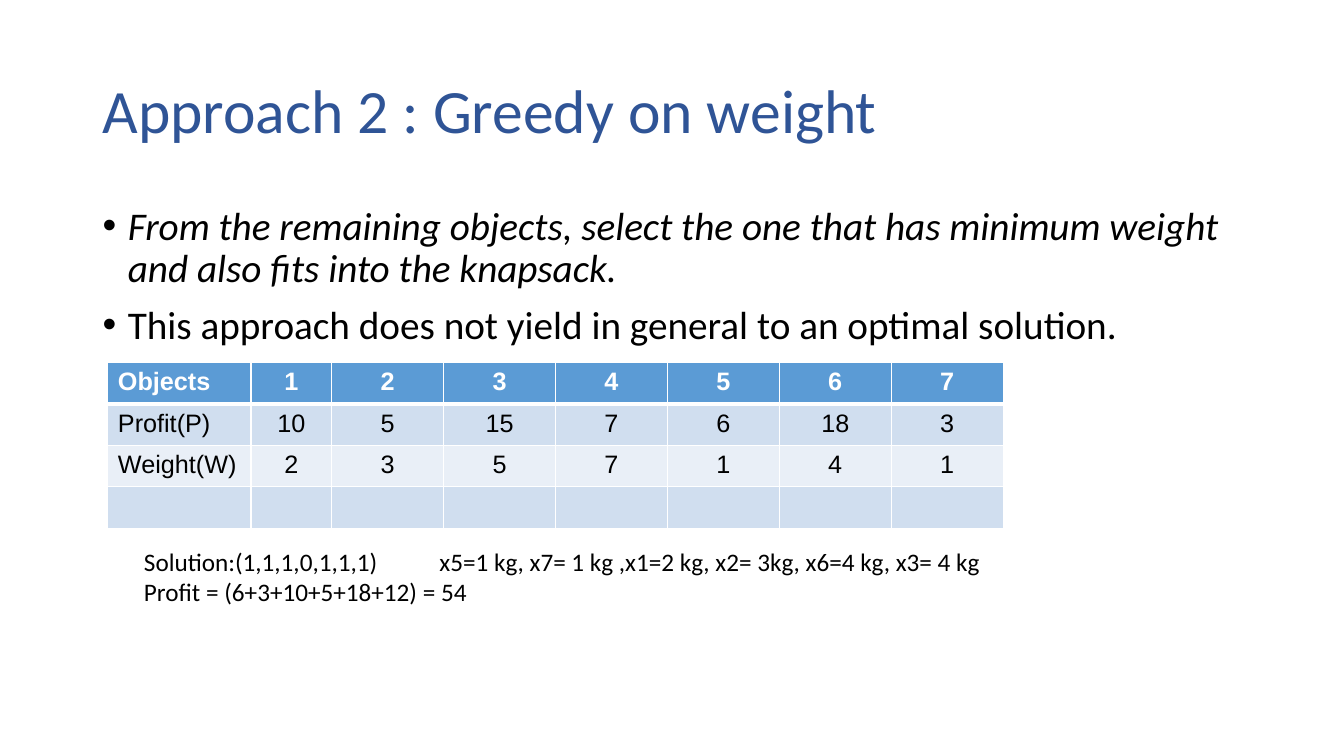
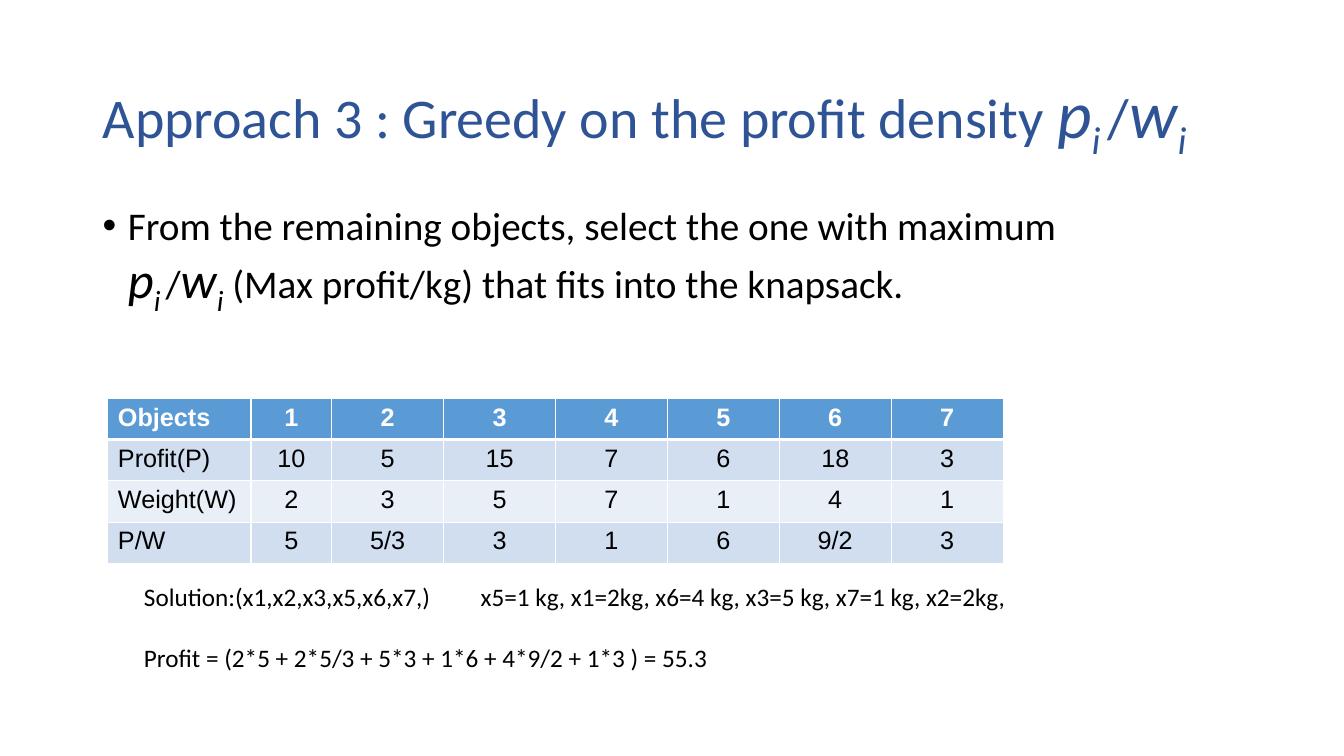
import lxml.etree
import pptx
import pptx.dml.color
import pptx.enum.text
import pptx.oxml.ns
import pptx.util

Inches = pptx.util.Inches
Pt = pptx.util.Pt
qn = pptx.oxml.ns.qn
RGBColor = pptx.dml.color.RGBColor

BLACK = RGBColor(0x00, 0x00, 0x00)
WHITE = RGBColor(0xFF, 0xFF, 0xFF)
TITLE_BLUE = RGBColor(0x2F, 0x54, 0x96)
HEADER_BLUE = RGBColor(0x5B, 0x9B, 0xD5)
BANDS = (RGBColor(0xD0, 0xDE, 0xEF), RGBColor(0xE9, 0xEF, 0xF7))

COLUMN_WIDTHS = [1.42, 0.8] + [1.11] * 6
ROW_HEIGHT = 0.41
ITEMS = [
    ["Objects", "1", "2", "3", "4", "5", "6", "7"],
    ["Profit(P)", "10", "5", "15", "7", "6", "18", "3"],
    ["Weight(W)", "2", "3", "5", "7", "1", "4", "1"],
]


def add_xml(parent, tag, **attributes):
    return lxml.etree.SubElement(parent, qn(tag), attributes)


def density(size, symbol_size):
    return [
        ("p", symbol_size, True, False),
        ("i", symbol_size, True, True),
        (" ", size, True, True),
        ("/", size, False, False),
        ("w", symbol_size, True, False),
        ("i", symbol_size, True, True),
    ]


class Deck:
    body_font = "Calibri"
    table_font = "Arial"

    def __init__(self):
        self.prs = pptx.Presentation()
        self.prs.slide_width = Inches(13.33)
        self.prs.slide_height = Inches(7.5)
        self.s = None

    def add_slide(self):
        self.s = self.prs.slides.add_slide(self.prs.slide_layouts[6])

    def add_box(self, left, top, width, height):
        sp = self.s.shapes.add_textbox(
            Inches(left), Inches(top), Inches(width), Inches(height))
        tf = sp.text_frame
        tf.word_wrap = True
        return tf

    def add_run(self, p, text, size, color, font=body_font,
                italic=False, bold=False, subscript=False):
        r = p.add_run()
        r.text = text
        r.font.size = Pt(size)
        r.font.name = font
        r.font.color.rgb = color
        r.font.italic = italic
        r.font.bold = bold
        if subscript:
            r._r.get_or_add_rPr().set("baseline", "-25000")

    def add_runs(self, p, runs, color):
        for text, size, italic, subscript in runs:
            if text == "\n":
                p.add_line_break()
            else:
                self.add_run(p, text, size, color,
                             italic=italic, subscript=subscript)

    def add_title(self, runs):
        tf = self.add_box(0.92, 0.4, 11.5, 1.45)
        tf.vertical_anchor = pptx.enum.text.MSO_ANCHOR.MIDDLE
        p = tf.paragraphs[0]
        p.line_spacing = 0.9
        self.add_runs(p, runs, TITLE_BLUE)

    def add_bullets(self, bullets):
        tf = self.add_box(0.92, 2, 11.5, 4.76)
        for index, runs in enumerate(bullets):
            p = tf.add_paragraph() if index else tf.paragraphs[0]
            pPr = p._p.get_or_add_pPr()
            pPr.set("marL", str(Inches(0.25)))
            pPr.set("indent", str(-Inches(0.25)))
            color = add_xml(pPr, "a:buClr")
            add_xml(color, "a:srgbClr", val=str(BLACK))
            add_xml(pPr, "a:buFont", typeface="Arial")
            add_xml(pPr, "a:buChar", char="•")
            p.line_spacing = 0.9
            if index:
                p.space_before = Pt(10)
            self.add_runs(p, runs, BLACK)

    def add_solution(self, top, height, choice, picks, tab, profit, gap=0):
        tf = self.add_box(1.33, top, 8.97, height)
        p = tf.paragraphs[0]
        tabs = add_xml(p._p.get_or_add_pPr(), "a:tabLst")
        add_xml(tabs, "a:tab", pos=str(Inches(tab)), algn="l")
        self.add_run(p, f"{choice}\t{picks}", 18, BLACK)
        p = tf.add_paragraph()
        p.space_before = Pt(gap)
        self.add_run(p, profit, 18, BLACK)

    def add_borders(self, cell, row):
        widths = {"a:lnL": 1, "a:lnR": 1, "a:lnT": 1, "a:lnB": 1}
        if row == 0:
            widths["a:lnB"] = 3
        elif row == 1:
            widths["a:lnT"] = 3
        tcPr = cell._tc.get_or_add_tcPr()
        for tag, width in widths.items():
            line = add_xml(tcPr, tag, w=str(Pt(width)))
            fill = add_xml(line, "a:solidFill")
            add_xml(fill, "a:srgbClr", val=str(WHITE))

    def add_table(self, top, rows):
        table = self.s.shapes.add_table(
            len(rows), len(COLUMN_WIDTHS), Inches(1.07), Inches(top),
            Inches(sum(COLUMN_WIDTHS)), Inches(ROW_HEIGHT * len(rows))).table
        table.first_row = False
        table.horz_banding = False
        for column, width in zip(table.columns, COLUMN_WIDTHS):
            column.width = Inches(width)
        for i, row in enumerate(rows):
            table.rows[i].height = Inches(ROW_HEIGHT)
            header = i == 0
            for j, text in enumerate(row):
                cell = table.cell(i, j)
                self.add_borders(cell, i)
                cell.fill.solid()
                cell.fill.fore_color.rgb = (
                    HEADER_BLUE if header else BANDS[(i - 1) % 2])
                p = cell.text_frame.paragraphs[0]
                if j:
                    p.alignment = pptx.enum.text.PP_ALIGN.CENTER
                if text:
                    self.add_run(p, text, 18, WHITE if header else BLACK,
                                 font=self.table_font, bold=header)


def main():
    deck = Deck()

    deck.add_slide()
    deck.add_title([("Approach 2 : Greedy on weight", 44, False, False)])
    deck.add_bullets([
        [("From the remaining objects, select the one that has minimum "
          "weight and also fits into the knapsack.", 28, True, False)],
        [("This approach does not yield in general to an optimal solution.",
          28, False, False)],
    ])
    deck.add_solution(
        5.37, 0.71, "Solution:(1,1,1,0,1,1,1)",
        "x5=1 kg, x7= 1 kg ,x1=2 kg, x2= 3kg, x6=4 kg, x3= 4 kg", 2.93,
        "Profit = (6+3+10+5+18+12) = 54")
    deck.add_table(3.6, ITEMS + [[""] * len(COLUMN_WIDTHS)])

    deck.add_slide()
    deck.add_title([
        ("Approach 3 : Greedy on the profit density ", 40, False, False),
        *density(40, 48),
    ])
    deck.add_bullets([[
        ("From the remaining objects, select the one with maximum ",
         28, False, False),
        ("\n", 28, False, False),
        *density(28, 36),
        (" (Max profit/kg) that fits into the knapsack.", 28, False, False),
    ]])
    deck.add_solution(
        5.72, 1.01, "Solution:(x1,x2,x3,x5,x6,x7,)",
        "x5=1 kg, x1=2kg, x6=4 kg, x3=5 kg, x7=1 kg, x2=2kg,", 3.34,
        "Profit = (2*5 + 2*5/3 + 5*3 + 1*6 + 4*9/2 + 1*3 ) = 55.3", gap=22)
    deck.add_table(3.95, ITEMS + [["P/W", "5", "5/3", "3", "1", "6", "9/2", "3"]])

    deck.prs.save("out.pptx")


if __name__ == "__main__":
    main()
